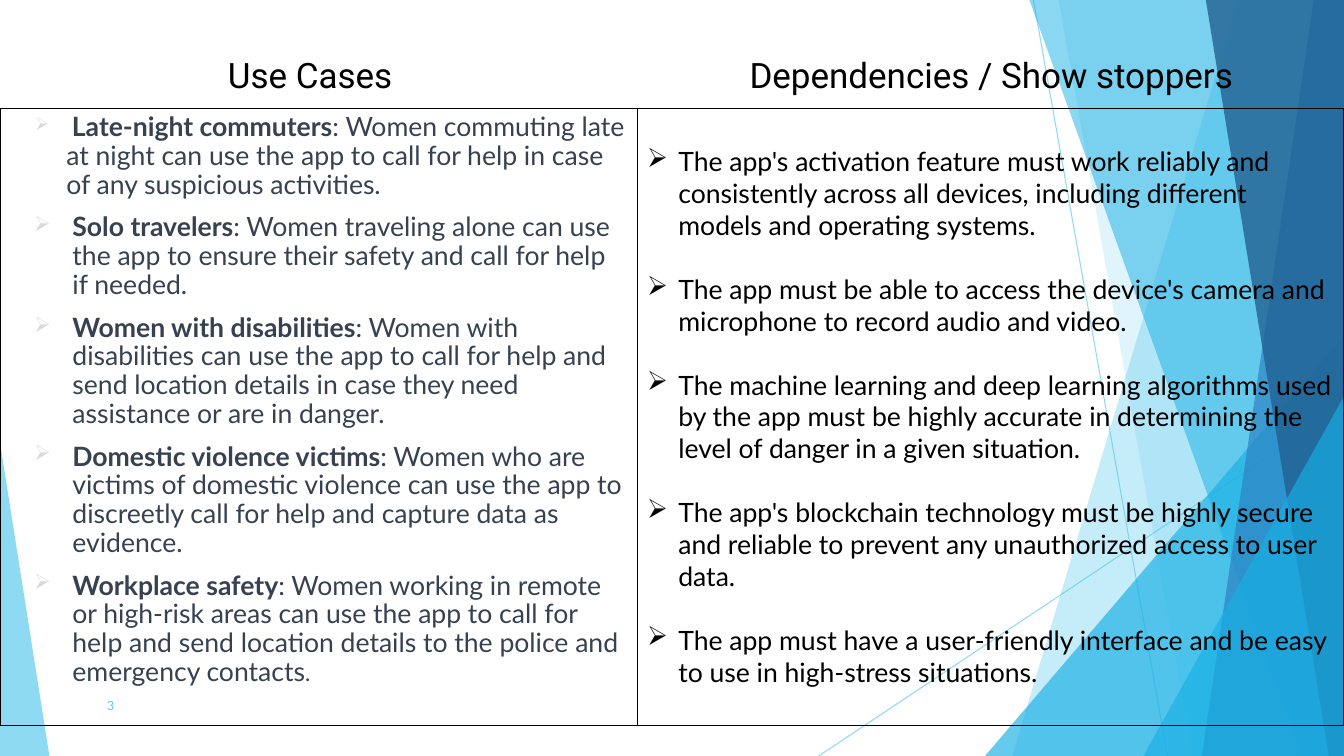
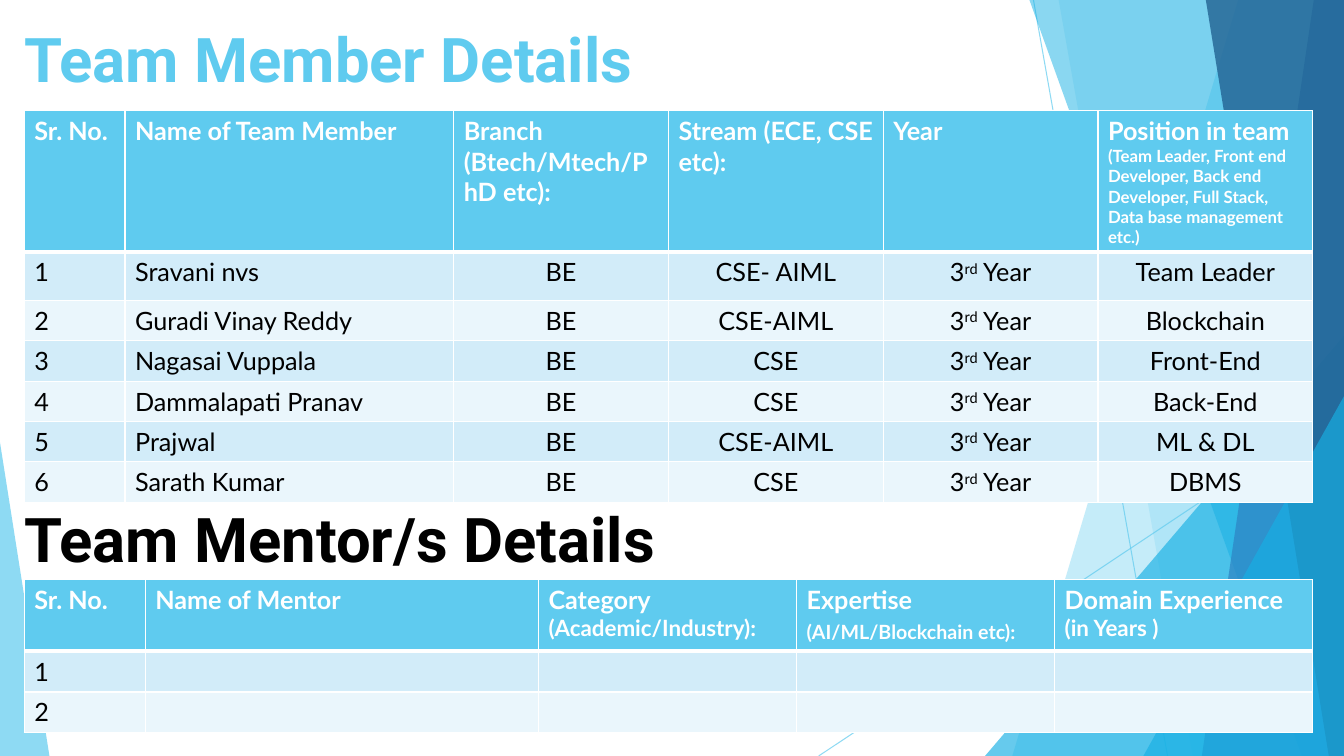
from lxml.etree import SubElement as Sub
from pptx import Presentation
from pptx.dml.color import RGBColor
from pptx.enum.shapes import MSO_CONNECTOR as Link, MSO_SHAPE as Geo
from pptx.enum.text import MSO_ANCHOR as Anchor, MSO_AUTO_SIZE as Auto, PP_ALIGN as Align
from pptx.oxml.ns import qn
from pptx.util import Inches, Pt

WIDE, HIGH = 13.33, 7.5
SKY, CYAN, BLUE, NAVY = "5FCBEF", "17B0E4", "2E83C3", "226292"
BLACK, WHITE, SLATE, PALE = "000000", "FFFFFF", "374151", "D9D9D9"
STRIPES = "D2ECF9", "EAF6FC"
BODY, HEAD = "Lato", "Roboto"
ARROW = "➢"

RAYS = [(10.25, 0, 11.58, HIGH), (WIDE, 4.03, 8.12, HIGH)]
# Bands reach the right edge: top x, bottom x, colour, opacity.
# Wedges: box, apex position, colour, opacity.
DECOR = [
    ("band", (12.28, 10.04), SKY, 36),
    ("band", (10.5, 11.83), SKY, 20),
    ("wedge", (9.77, 3.33, 3.56, 4.17, 1), CYAN, 66),
    ("band", (10.21, 12.91), CYAN, 50),
    ("band", (13.03, 11.92), BLUE, 70),
    ("band", (11.96, 13.18), NAVY, 80),
    ("wedge", (11.34, 3.93, 1.99, 3.57, 1), CYAN, 66),
    ("wedge", (0, 4.39, 0.49, 3.11, 0), SKY, 70),
]

CASES = [
    ("Late-night commuters", ": Women commuting late at night can use the app to call for "
     "help in case of any suspicious activities."),
    ("Solo travelers", ": Women traveling alone can use the app to ensure their safety and "
     "call for help if needed."),
    ("Women with disabilities", ": Women with disabilities can use the app to call for help "
     "and send location details in case they need assistance or are in danger."),
    ("Domestic violence victims", ": Women who are victims of domestic violence can use the "
     "app to discreetly call for help and capture data as evidence."),
    ("Workplace safety", ": Women working in remote or high-risk areas can use the app to "
     "call for help and send location details to the police and emergency contacts"),
]
NEEDS = [
    "The app's activation feature must work reliably and consistently across all devices, "
    "including different models and operating systems.",
    "The app must be able to access the device's camera and microphone to record audio and "
    "video.",
    "The machine learning and deep learning algorithms used by the app must be highly "
    "accurate in determining the level of danger in a given situation.",
    "The app's blockchain technology must be highly secure and reliable to prevent any "
    "unauthorized access to user data.",
    "The app must have a user-friendly interface and be easy to use in high-stress "
    "situations.",
]

# A header cell is a list of (text, size) parts.
TEAM_HEAD = [
    [("Sr. No.", 18)],
    [("Name of Team Member", 18)],
    [("Branch (Btech/Mtech/PhD etc):", 18)],
    [("Stream (ECE, CSE etc):", 18)],
    [("Year", 18)],
    [("Position in team ", 18),
     ("(Team Leader, Front end Developer, Back end Developer, Full Stack, "
      "Data base management etc.)", 12)],
]
TEAM = [
    ("Sravani nvs", "CSE- AIML", "Team Leader"),
    ("Guradi Vinay Reddy", "CSE-AIML", "Blockchain"),
    ("Nagasai Vuppala", "CSE", "Front-End"),
    ("Dammalapati Pranav", "CSE", "Back-End"),
    ("Prajwal", "CSE-AIML", "ML & DL"),
    ("Sarath Kumar", "CSE", "DBMS"),
]
MENTOR_HEAD = [
    [("Sr. No.", 18)],
    [("Name of Mentor", 18)],
    [("Category ", 18), ("(Academic/Industry):", 16)],
    [("Expertise ", 18), ("(AI/ML/Blockchain etc):", 14), (" ", 18)],
    [("Domain Experience ", 18), ("(in Years )", 16)],
]


def rgb(code):
    return RGBColor.from_string(code)


def fade(shape, alpha):
    """Set the opacity, in percent, of the first colour in the shape."""
    tint = shape.element.find(".//" + qn("a:srgbClr"))
    Sub(tint, qn("a:alpha")).set("val", str(alpha * 1000))


def say(para, text, size, color=BLACK, font=BODY, bold=False):
    run = para.add_run()
    run.text = text
    run.font.size, run.font.name, run.font.bold = Pt(size), font, bold
    run.font.color.rgb = rgb(color)
    return run


def mark(para, left, hang, color, scale):
    """Give the paragraph a hanging arrow bullet."""
    props = para._p.get_or_add_pPr()
    props.set("marL", str(Inches(left)))
    props.set("indent", str(-Inches(hang)))
    tone = Sub(props, qn("a:buClr"))
    Sub(tone, qn("a:srgbClr")).set("val", color)
    Sub(props, qn("a:buSzPct")).set("val", str(scale * 1000))
    Sub(props, qn("a:buChar")).set("char", ARROW)


def edge(cell, low):
    """Draw white cell borders; low is the width of the bottom one."""
    props = cell._tc.get_or_add_tcPr()
    for i, (side, size) in enumerate((("L", 1), ("R", 1), ("T", 1), ("B", low))):
        line = props.makeelement(qn("a:ln" + side), {"w": str(Pt(size))})
        Sub(Sub(line, qn("a:solidFill")), qn("a:srgbClr")).set("val", WHITE)
        props.insert(i, line)


class Deck:
    """Holds the presentation, its style and the current slide."""

    def __init__(self):
        self.prs = Presentation()
        self.prs.slide_width, self.prs.slide_height = Inches(WIDE), Inches(HIGH)

    def start(self):
        self.slide = self.prs.slides.add_slide(self.prs.slide_layouts[5])
        self.shapes = self.slide.shapes
        for ray in RAYS:
            self.ray(*ray)
        for kind, place, color, alpha in DECOR:
            shape = self.band(*place) if kind == "band" else self.wedge(*place)
            shape.shadow.inherit = False
            shape.fill.solid()
            shape.fill.fore_color.rgb = rgb(color)
            fade(shape, alpha)
            shape.line.fill.background()
        # The title belongs in front of the decoration.
        title = self.shapes.title.element
        title.getparent().append(title)

    def ray(self, *ends):
        line = self.shapes.add_connector(Link.STRAIGHT, *map(Inches, ends))
        line.line.color.rgb = rgb(SKY)
        line.line.width = Pt(0.75)
        fade(line, 70)
        Sub(line.element.spPr, qn("a:effectLst"))

    def band(self, top, low):
        pen = self.shapes.build_freeform(Inches(top), 0)
        corners = (WIDE, 0), (WIDE, HIGH), (low, HIGH)
        pen.add_line_segments([(Inches(x), Inches(y)) for x, y in corners])
        return pen.convert_to_shape()

    def wedge(self, x, y, w, h, apex):
        shape = self.shapes.add_shape(Geo.ISOSCELES_TRIANGLE, *map(Inches, (x, y, w, h)))
        shape.adjustments[0] = apex
        return shape

    def text(self, box, text, size, color=BLACK, font=HEAD, bold=False, title=False,
             align=Align.LEFT, anchor=Anchor.TOP, pad=(0, 0), space=0.9):
        """Write one line of text, in the title placeholder or a new text box."""
        place = [Inches(n) for n in box]
        if title:
            shape = self.shapes.title
            shape.left, shape.top, shape.width, shape.height = place
        else:
            shape = self.shapes.add_textbox(*place)
        para = self.frame(shape, anchor, pad).paragraphs[0]
        para.alignment, para.line_spacing = align, space
        say(para, text, size, color, font, bold)

    def frame(self, shape, anchor, pad):
        frame = shape.text_frame
        frame.word_wrap, frame.auto_size = True, Auto.NONE
        frame.vertical_anchor = anchor
        frame.margin_left = frame.margin_right = Inches(pad[0])
        frame.margin_top = frame.margin_bottom = Inches(pad[1])
        return frame

    def panel(self, x, w, count, top=0.05):
        """Add an outlined column and return its paragraphs."""
        shape = self.shapes.add_shape(Geo.RECTANGLE, *map(Inches, (x, 1.08, w, 6.12)))
        shape.shadow.inherit = False
        shape.fill.background()
        shape.line.color.rgb = rgb(BLACK)
        shape.line.width = Pt(0.75)
        frame = self.frame(shape, Anchor.TOP, (0.1, 0.05))
        frame.margin_top = Inches(top)
        for _ in range(count - 1):
            frame.add_paragraph()
        for para in frame.paragraphs:
            para.alignment = Align.LEFT
        return frame.paragraphs

    def table(self, y, cols, rows, head, body):
        """Add a striped table; the first two columns are left-aligned."""
        table = self.shapes.add_table(
            len(rows), len(cols), Inches(0.24), Inches(y),
            Inches(sum(cols)), Inches(sum(rows))).table
        for col, w in zip(table.columns, cols):
            col.width = Inches(w)
        for row, h in zip(table.rows, rows):
            row.height = Inches(h)
        for c, parts in enumerate(head):
            para = self.cell(table.cell(0, c), SKY, 3)
            for text, size in parts:
                say(para, text, size, WHITE, bold=True)
        for r, line in enumerate(body, 1):
            for c, text in enumerate(line):
                para = self.cell(table.cell(r, c), STRIPES[(r - 1) % 2], 1)
                para.alignment = Align.LEFT if c < 2 else Align.CENTER
                start, high, rest = text.partition("rd ")
                if high:
                    say(para, start, 18)
                    say(para, "rd", 18).font._element.set("baseline", "30000")
                    say(para, " " + rest, 18)
                elif text:
                    say(para, text, 18)

    def cell(self, cell, color, low):
        cell.fill.solid()
        cell.fill.fore_color.rgb = rgb(color)
        edge(cell, low)
        return cell.text_frame.paragraphs[0]


def cases(deck):
    deck.start()
    style = dict(size=25, align=Align.CENTER, pad=(0.1, 0.05))
    deck.text((0.43, 0.53, 5.29, 0.35), "Use Cases", title=True, **style)
    deck.text((7.02, 0.53, 5.62, 0.35), "Dependencies / Show stoppers", **style)
    deck.text((1.06, 6.92, 0.57, 0.27), "3", 9, SKY, BODY, space=1)

    paras = deck.panel(0, 6.32, len(CASES))
    for i, (para, (name, text)) in enumerate(zip(paras, CASES)):
        para.line_spacing, para.space_before = 0.9, Pt(10)
        left, hang = (0.62, 0.38) if i else (0.56, 0.31)
        mark(para, left, hang, PALE, 80)
        if i == 0:
            say(para, " ", 16, font=HEAD)
        say(para, name, 19, SLATE, bold=True)
        say(para, text, 19, SLATE)
    say(paras[-1], ".", 16, SLATE)

    paras = deck.panel(6.32, 7.01, len(NEEDS), top=0.36)
    for para, text in zip(paras, NEEDS):
        para.space_after = Pt(22.8)
        mark(para, 0.31, 0.31, BLACK, 100)
        say(para, text, 19)


def team(deck):
    deck.start()
    style = dict(size=44, bold=True, anchor=Anchor.BOTTOM)
    deck.text((0.24, 0.28, 7.24, 0.67), "Team Member Details", color=SKY, title=True, **style)
    deck.table(1.1, [1, 3.26] + [2.13] * 4, [1.4, 0.48] + [0.4] * 5, TEAM_HEAD,
               [(str(n), name, "BE", stream, "3rd Year", role)
                for n, (name, stream, role) in enumerate(TEAM, 1)])
    deck.table(5.75, [1.2, 3.9] + [2.56] * 3, [0.71, 0.4, 0.4], MENTOR_HEAD,
               [(n, "", "", "", "") for n in "12"])
    deck.text((0.24, 5.04, 7.24, 0.67), "Team Mentor/s Details", **style)


def main():
    deck = Deck()
    cases(deck)
    team(deck)
    deck.prs.save("out.pptx")


if __name__ == "__main__":
    main()
